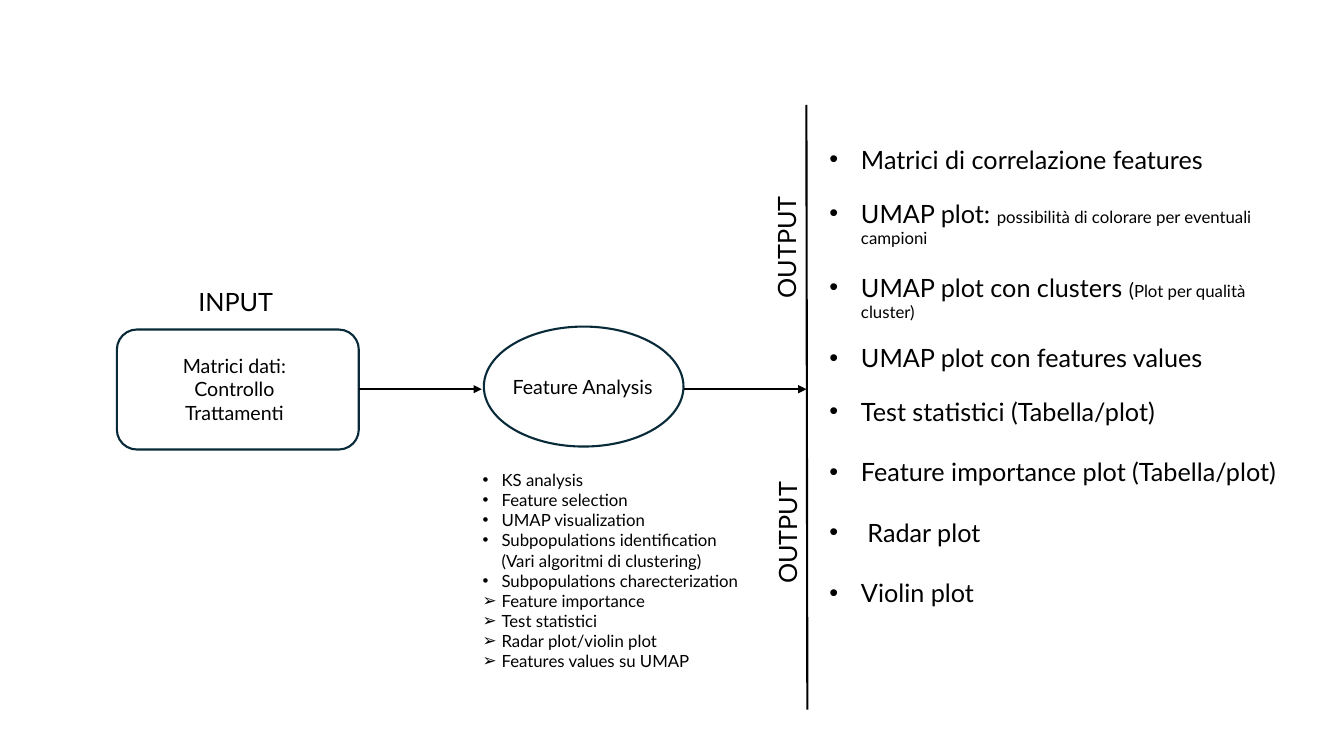
import pptx
import pptx.dml.color
import pptx.enum.shapes
import pptx.enum.text
import pptx.oxml
import pptx.oxml.ns
import pptx.util

Pt = pptx.util.Pt
ALIGN = pptx.enum.text.PP_ALIGN
SHAPE = pptx.enum.shapes.MSO_SHAPE
FONT = "Lato"
BLACK, WHITE, OUTLINE = "000000", "FFFFFF", "092A39"
LINE_WIDTH = 1.5
LINE_SPACING = 1.2

ANALYSIS_STEPS = [
    ("•", "KS analysis"),
    ("•", "Feature selection"),
    ("•", "UMAP visualization"),
    ("•", "Subpopulations identification (Vari algoritmi di clustering)"),
    ("•", "Subpopulations charecterization"),
    ("➢", "Feature importance"),
    ("➢", "Test statistici"),
    ("➢", "Radar plot/violin plot"),
    ("➢", "Features values su UMAP"),
]
OUTPUTS = [
    (0, [("Matrici di correlazione features", 18)]),
    (14, [("UMAP plot: ", 18), ("possibilità di colorare per eventuali campioni", 12)]),
    (14, [("UMAP plot con clusters ", 18), ("(", 14), ("Plot per qualità cluster)", 12)]),
    (12, [("UMAP plot con features values", 18)]),
    (14, [("Test statistici (Tabella/plot)", 18)]),
    (18, [("Feature importance plot (Tabella/plot)", 18)]),
    (18, [(" Radar plot", 18)]),
    (18, [("Violin plot", 18)]),
]


def color(value):
    """Turn a hex string into a colour."""
    return pptx.dml.color.RGBColor.from_string(value)


def add_xml(parent, tag, **attributes):
    """Append an empty DrawingML element with the given attributes."""
    element = pptx.oxml.parse_xml(f"<a:{tag} {pptx.oxml.ns.nsdecls('a')}/>")
    for name, value in attributes.items():
        element.set(name, str(value))
    parent.append(element)


def add_text(slide, box, paragraphs, align=ALIGN.LEFT, indent=0, rotation=0):
    """Write paragraphs given as (bullet, space before, runs) in a box."""
    textbox = slide.shapes.add_textbox(*map(Pt, box))
    textbox.rotation = rotation
    frame = textbox.text_frame
    frame.word_wrap = True
    for index, (bullet, space, runs) in enumerate(paragraphs):
        paragraph = frame.paragraphs[0] if index == 0 else frame.add_paragraph()
        paragraph.alignment = align
        paragraph.space_before = Pt(space)
        if bullet:
            properties = paragraph._p.get_or_add_pPr()
            properties.set("marL", str(Pt(indent)))
            properties.set("indent", str(-Pt(indent)))
            add_xml(properties, "buFont", typeface="Arial")
            add_xml(properties, "buChar", char=bullet)
        for text, size in runs:
            run = paragraph.add_run()
            run.text = text
            run.font.name = FONT
            run.font.size = Pt(size)
            run.font.color.rgb = color(BLACK)


def add_outline(slide, kind, box):
    """Draw a white shape with a dark outline."""
    outline = slide.shapes.add_shape(kind, *map(Pt, box))
    outline.shadow.inherit = False
    outline.fill.solid()
    outline.fill.fore_color.rgb = color(WHITE)
    outline.line.color.rgb = color(OUTLINE)
    outline.line.width = Pt(LINE_WIDTH)


def add_line(slide, start, end, arrow=False):
    """Draw a straight black line, with an arrowhead at its end if asked."""
    straight = pptx.enum.shapes.MSO_CONNECTOR.STRAIGHT
    line = slide.shapes.add_connector(straight, *map(Pt, (*start, *end)))
    line.line.color.rgb = color(BLACK)
    line.line.width = Pt(LINE_WIDTH)
    if arrow:
        add_xml(line.line._get_or_add_ln(), "tailEnd", type="triangle")
    add_xml(line._element.spPr, "effectLst")


def add_input(slide, left, top, width, height):
    """Place the input data box with its heading above."""
    add_outline(slide, SHAPE.ROUNDED_RECTANGLE, (left, top, width, height))
    matrices = ["Matrici dati:", "Controllo", "Trattamenti"]
    add_text(slide, (left + 30.3, top + 13.7, 107.3, 58.3),
             [("", 0, [(text, 14)]) for text in matrices], ALIGN.CENTER)
    add_text(slide, (left + 51.1, top - 34.5, 72, 28.8), [("", 0, [("INPUT", 18)])])


def add_analysis(slide, left, top, width, height):
    """Place the analysis ellipse with its list of steps below."""
    add_outline(slide, SHAPE.OVAL, (left, top, width, height))
    add_text(slide, (left, top + 31, width - 1.4, 24.5),
             [("", 0, [("Feature Analysis", 14)])], ALIGN.CENTER)
    add_text(slide, (left - 7.9, top + 98.6, 203.8, 181.4),
             [(bullet, 0, [(text, 12)]) for bullet, text in ANALYSIS_STEPS], indent=13.5)


def add_output(slide, left, top, height):
    """Place the output divider, its two upright labels and the list of results."""
    add_line(slide, (left, top), (left + 0.7, top + height))
    for offset, drop in ((-58.3, 87.1), (-57.6, 290.9)):
        add_text(slide, (left + offset, top + drop, 87.8, 28.8),
                 [("", 0, [("OUTPUT", 18)])], rotation=270)
    add_text(slide, (left + 9.4, top + 24.5, 346.3, 326.9),
             [("•", gap * LINE_SPACING, runs) for gap, runs in OUTPUTS], indent=22.5)


def main():
    """Build the slide and save it."""
    deck = pptx.Presentation()
    deck.slide_width, deck.slide_height = Pt(960), Pt(540)
    slide = deck.slides.add_slide(deck.slide_layouts[6])
    flow = 278
    add_input(slide, 83.5, 235.4, 172.8, 85.7)
    add_line(slide, (256.3, flow), (344.2, flow), arrow=True)
    add_analysis(slide, 345.6, 233.3, 142.6, 85.7)
    add_line(slide, (488.9, flow), (576, flow), arrow=True)
    add_output(slide, 576, 74.9, 432)
    deck.save("out.pptx")


if __name__ == "__main__":
    main()
